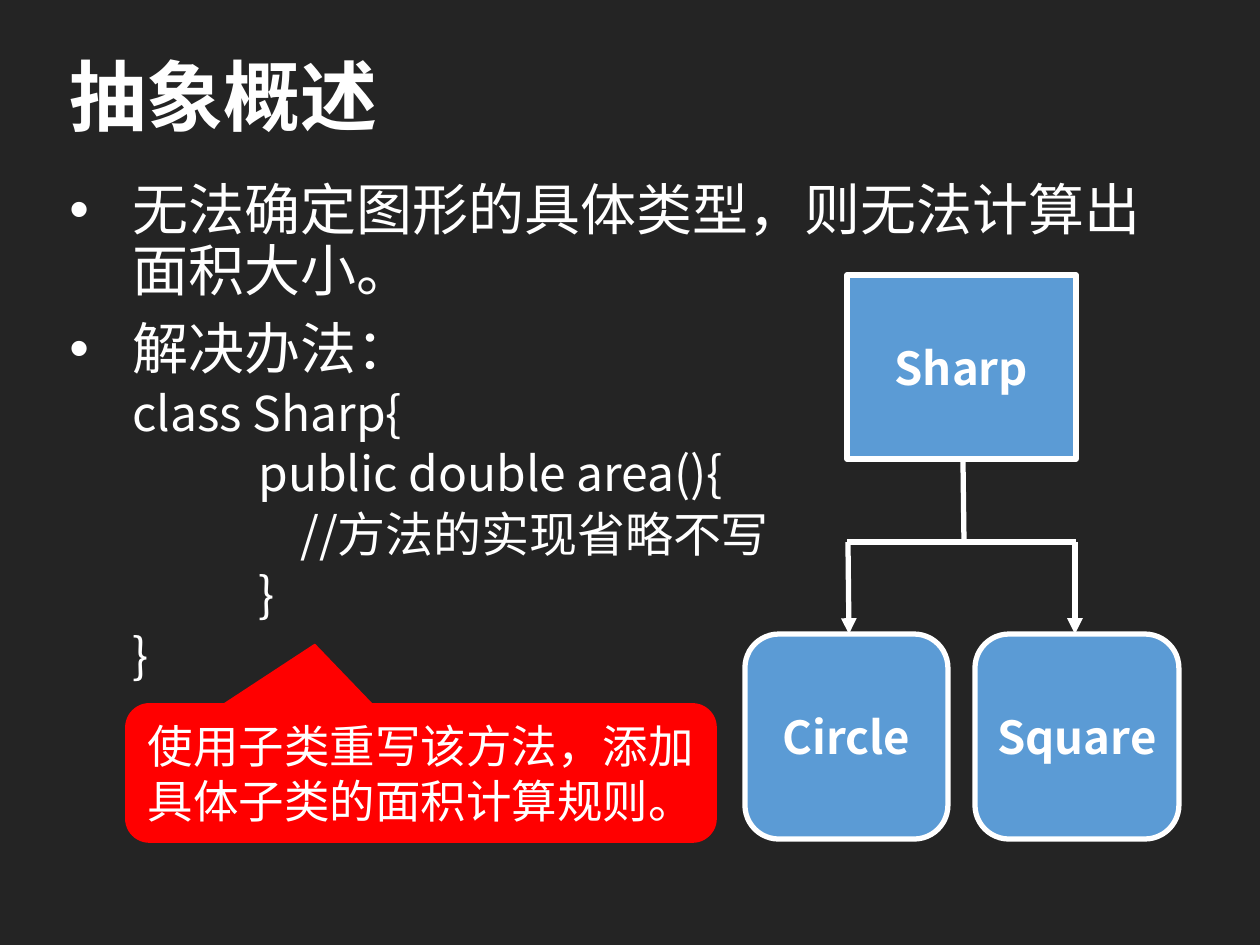
from lxml import etree
from pptx import Presentation
from pptx.dml.color import RGBColor
from pptx.enum.shapes import MSO_CONNECTOR, MSO_SHAPE
from pptx.enum.text import MSO_ANCHOR, PP_ALIGN
from pptx.oxml.ns import qn
from pptx.util import Emu, Pt

FONT = "Noto Sans CJK SC"
WHITE, BLUE, RED, DARK = "FFFFFF", "5B9BD5", "FF0000", "242424"
LEFT, CENTER = PP_ALIGN.LEFT, PP_ALIGN.CENTER
MIDDLE = MSO_ANCHOR.MIDDLE
STRAIGHT = MSO_CONNECTOR.STRAIGHT
PROCESS = MSO_SHAPE.FLOWCHART_PROCESS
ROUNDED = MSO_SHAPE.FLOWCHART_ALTERNATE_PROCESS
CALLOUT = MSO_SHAPE.ROUNDED_RECTANGULAR_CALLOUT
PX = 914400 / 126


def px(*lengths):
    return [Emu(round(length * PX)) for length in lengths]


def style(para, size, bold=False, align=LEFT):
    """Give the paragraph white text in the slide font, Chinese included."""
    para.alignment = align
    font = para.font
    font.name, font.size, font.bold = FONT, Pt(size), bold
    font.color.rgb = RGBColor.from_string(WHITE)
    defaults = para._p.pPr.find(qn("a:defRPr"))
    east_asian = etree.Element(qn("a:ea"), typeface=FONT)
    defaults.find(qn("a:latin")).addnext(east_asian)


deck = Presentation()
deck.slide_width, deck.slide_height = px(1260, 945)
page = deck.slides.add_slide(deck.slide_layouts[5])
page.background.fill.solid()
page.background.fill.fore_color.rgb = RGBColor.from_string(DARK)

# Title
title = page.shapes.title
title.left, title.top, title.width, title.height = px(57, 29, 1145, 131)
title.text_frame.text = "抽象概述"
title.text_frame.vertical_anchor = MIDDLE
style(title.text_frame.paragraphs[0], 44, bold=True)

# Bullets and code: text, left margin, bulleted
body_lines = [
    ("无法确定图形的具体类型，则无法计算出面积大小。", 63, True),
    ("解决办法：", 63, True),
    ("class Sharp{", 63, False),
    ("public double area(){", 189, False),
    ("//方法的实现省略不写", 231, False),
    ("}", 189, False),
    ("}", 63, False),
]
body = page.shapes.add_textbox(*px(57, 176, 1148, 699)).text_frame
body.word_wrap = True
for index, (text, margin, bulleted) in enumerate(body_lines):
    para = body.add_paragraph() if index else body.paragraphs[0]
    para.text = text
    para.line_spacing = 0.9
    para.space_before = Pt(10 if bulleted else 5)
    properties = para._p.get_or_add_pPr()
    properties.set("marL", str(px(margin)[0]))
    properties.set("indent", str(px(-margin if bulleted else 0)[0]))
    if bulleted:
        etree.SubElement(properties, qn("a:buFont"), typeface="Arial")
        etree.SubElement(properties, qn("a:buChar"), char="•")
    style(para, 32 if bulleted else 27.4)

# Class boxes and callout
boxes = [
    ("Sharp", PROCESS, (847, 275, 229, 184), BLUE, WHITE, 3),
    ("Circle", ROUNDED, (745, 634, 203, 205), BLUE, WHITE, 3),
    ("Square", ROUNDED, (975, 634, 204, 205), BLUE, WHITE, 3),
    ("使用子类重写该方法，添加具体子类的面积计算规则。", CALLOUT,
     (126, 704, 590, 138), RED, RED, 1),
]

# Tree lines: start, end, arrow
tree_lines = [
    ((963, 459), (964, 542), False),
    ((847, 542), (1076, 542), False),
    ((848, 542), (849, 634), True),
    ((1075, 542), (1075, 634), True),
]

for text, kind, place, fill, outline, width in boxes:
    box = page.shapes.add_shape(kind, *px(*place))
    box.shadow.inherit = False
    box.fill.solid()
    box.fill.fore_color.rgb = RGBColor.from_string(fill)
    box.line.color.rgb = RGBColor.from_string(outline)
    box.line.width = Pt(width)
    is_callout = kind == CALLOUT
    if is_callout:
        for number, value in enumerate((-0.18, -0.93, 0.17)):
            box.adjustments[number] = value
    frame = box.text_frame
    frame.word_wrap = is_callout
    frame.vertical_anchor = MIDDLE
    frame.text = text
    style(frame.paragraphs[0], 26, bold=not is_callout, align=CENTER)

for start, end, arrow in tree_lines:
    line = page.shapes.add_connector(STRAIGHT, *px(*start, *end))
    line.line.color.rgb = RGBColor.from_string(WHITE)
    line.line.width = Pt(3)
    if arrow:
        etree.SubElement(line.line._get_or_add_ln(), qn("a:tailEnd"), type="triangle")
    etree.SubElement(line._element.spPr, qn("a:effectLst"))

deck.save("out.pptx")
